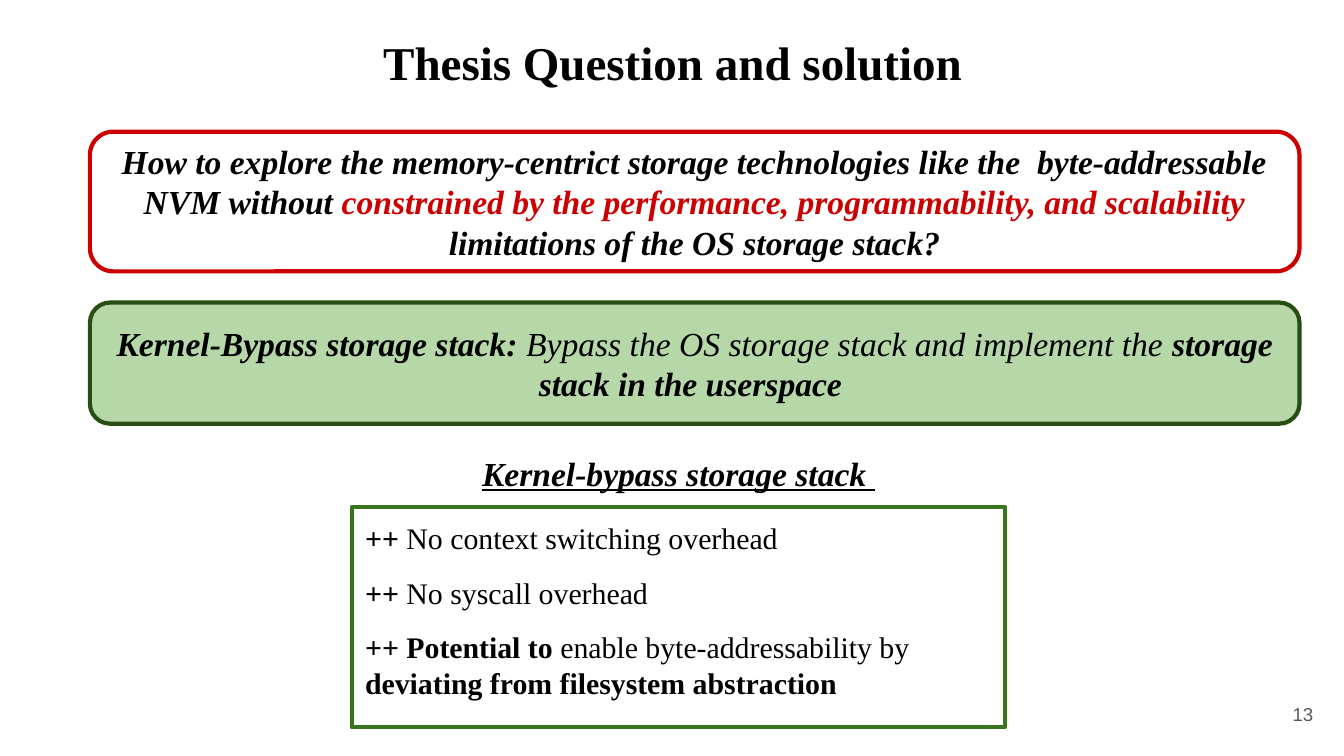
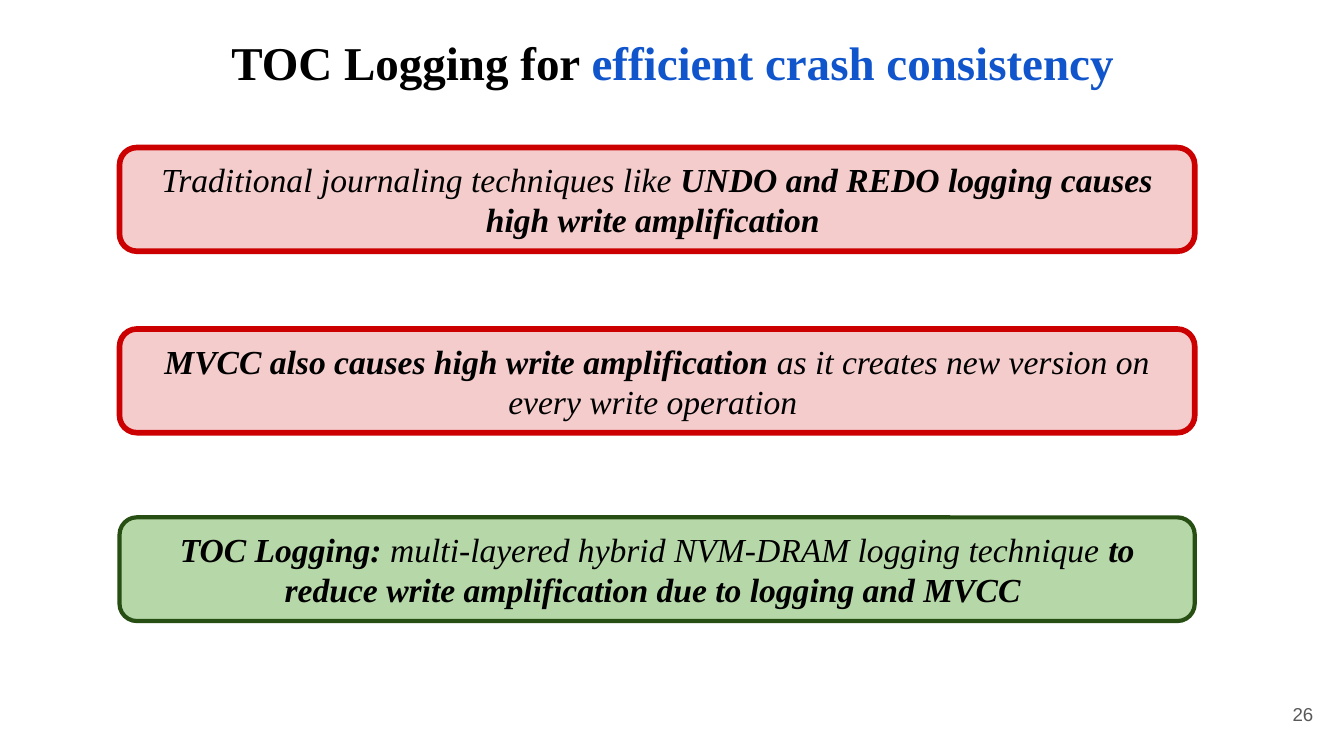
"""Build two thesis slides: the research question, and the logging design."""
from dataclasses import dataclass
from typing import Optional

import pptx
import pptx.dml.color
import pptx.enum.shapes
import pptx.enum.text
import pptx.oxml.ns
import pptx.presentation
import pptx.shapes.base
import pptx.slide
import pptx.util

Cm = pptx.util.Cm
Pt = pptx.util.Pt
Align = pptx.enum.text.PP_ALIGN
Anchor = pptx.enum.text.MSO_ANCHOR
Preset = pptx.enum.shapes.MSO_SHAPE

COLOURS = {
    "white": "FFFFFF",
    "black": "000000",
    "grey": "595959",
    "red": "CC0000",
    "pink": "F4CCCC",
    "dark green": "274E13",
    "green": "38761D",
    "light green": "B6D7A8",
    "blue": "1155CC",
}
SERIF = "Times New Roman"
TITLE_FONT = {"name": SERIF, "size": Pt(25.2), "bold": True}
NUMBER_FONT = {"name": "Arial", "size": Pt(10)}
BANNER_FONT = {"name": SERIF, "size": Pt(18), "italic": True}
HEADING_FONT = {**BANNER_FONT, "bold": True, "underline": True}
LIST_FONT = {"name": SERIF, "size": Pt(16)}
FRAME = {
    "margin_left": Cm(0.25),
    "margin_top": Cm(0.25),
    "margin_right": Cm(0.25),
    "margin_bottom": Cm(0.25),
    "word_wrap": True,
    "auto_size": pptx.enum.text.MSO_AUTO_SIZE.NONE,
}


@dataclass(frozen=True)
class Span:
    """A stretch of text in one style."""

    text: str
    bold: bool = False
    colour: str = "black"


@dataclass(frozen=True)
class Area:
    """A place on the page, in centimetres."""

    left: float
    top: float
    width: float
    height: float

    def lengths(self) -> tuple:
        """Return the four lengths as the library wants them."""
        return Cm(self.left), Cm(self.top), Cm(self.width), Cm(self.height)


@dataclass(frozen=True)
class Look:
    """The outline and fill of a box."""

    line: str
    weight: float = 2.25
    fill: Optional[str] = None


@dataclass(frozen=True)
class Banner:
    """A rounded box holding one statement."""

    area: Area
    look: Look
    spans: list[Span]


TITLE_AREA = Area(0.76, 0.38, 24.13, 1.6)
NUMBER_AREA = Area(23.55, 12.95, 1.52, 1.09)
QUESTION = Look("red")
PROBLEM = Look("red", 3, "pink")
SOLUTION = Look("dark green", 2.25, "light green")

QUESTION_BANNERS = [
    Banner(Area(1.7, 2.49, 22.86, 2.64), QUESTION, [
        Span("How to explore the memory-centrict storage technologies like the  "
             "byte-addressable NVM without ", True),
        Span("constrained by the performance, programmability, and scalability ", True, "red"),
        Span("limitations of the OS storage stack?", True),
    ]),
    Banner(Area(1.7, 5.72, 22.86, 2.29), SOLUTION, [
        Span("Kernel-Bypass storage stack:", True),
        Span(" Bypass the OS storage stack and implement the "),
        Span("storage stack in the userspace ", True),
    ]),
]
BENEFITS = [
    [Span("++", True), Span(" No context switching overhead")],
    [Span("++", True), Span(" No syscall overhead")],
    [
        Span("++ Potential to ", True),
        Span("enable byte-addressability by "),
        Span("deviating from filesystem abstraction", True),
    ],
]
LOGGING_BANNERS = [
    Banner(Area(2.26, 2.79, 20.32, 1.96), PROBLEM, [
        Span("Traditional journaling techniques like "),
        Span("UNDO and REDO logging causes high write amplification ", True),
    ]),
    Banner(Area(2.26, 6.22, 20.32, 1.96), PROBLEM, [
        Span("MVCC also causes high write amplification", True),
        Span(" as it creates new version on every write operation "),
    ]),
    Banner(Area(2.26, 9.78, 20.32, 1.96), SOLUTION, [
        Span("TOC Logging:", True),
        Span(" multi-layered hybrid NVM-DRAM logging technique "),
        Span("to reduce write amplification due to logging and MVCC ", True),
    ]),
]


def apply(target: object, values: dict) -> None:
    """Set each named attribute on the target."""
    for name, value in values.items():
        setattr(target, name, value)


def rgb(colour: str) -> pptx.dml.color.RGBColor:
    """Look a colour up by name."""
    return pptx.dml.color.RGBColor.from_string(COLOURS[colour])


def place(box: pptx.shapes.base.BaseShape, area: Area) -> None:
    """Move a placeholder to an area."""
    apply(box, dict(zip(("left", "top", "width", "height"), area.lengths())))


def paint(box: pptx.shapes.base.BaseShape, look: Look) -> None:
    """Give a box its outline and fill."""
    box.line.color.rgb = rgb(look.line)
    box.line.width = Pt(look.weight)
    if look.fill:
        box.fill.solid()
        box.fill.fore_color.rgb = rgb(look.fill)
    else:
        box.fill.background()


def write(
    box: pptx.shapes.base.BaseShape,
    lines: list[list[Span]],
    font: dict,
    align: Align = Align.CENTER,
    anchor: Anchor = Anchor.TOP,
    gap: float = 0,
) -> None:
    """Fill a box with paragraphs of styled spans."""
    frame = box.text_frame
    apply(frame, {**FRAME, "vertical_anchor": anchor})
    for index, spans in enumerate(lines):
        para = frame.add_paragraph() if index else frame.paragraphs[0]
        apply(para, {"alignment": align, "space_before": Pt(gap if index else 0)})
        for span in spans:
            run = para.add_run()
            run.text = span.text
            apply(run.font, {"bold": span.bold, **font})
            run.font.color.rgb = rgb(span.colour)


def remove_bullets(box: pptx.shapes.base.BaseShape) -> None:
    """Take the inherited bullets and indents off a list."""
    for para in box.text_frame.paragraphs:
        properties = para._p.get_or_add_pPr()
        properties.set("marL", "0")
        properties.set("indent", "0")
        properties.append(properties.makeelement(pptx.oxml.ns.qn("a:buNone"), {}))


def add_page(
    deck: pptx.presentation.Presentation,
    layout: int,
    title: list[Span],
    number: str,
    banners: list[Banner],
) -> pptx.slide.Slide:
    """Add a page with its title, number and banners."""
    page = deck.slides.add_slide(deck.slide_layouts[layout])
    place(page.shapes.title, TITLE_AREA)
    write(page.shapes.title, [title], TITLE_FONT)
    number_box = page.shapes.add_textbox(*NUMBER_AREA.lengths())
    write(number_box, [[Span(number, colour="grey")]], NUMBER_FONT, Align.RIGHT, Anchor.MIDDLE)
    for banner in banners:
        box = page.shapes.add_shape(Preset.ROUNDED_RECTANGLE, *banner.area.lengths())
        box.shadow.inherit = False
        paint(box, banner.look)
        write(box, [banner.spans], BANNER_FONT, anchor=Anchor.MIDDLE)
    return page


def add_benefits(page: pptx.slide.Slide) -> None:
    """Add the heading and the framed list of benefits."""
    heading = page.shapes.add_textbox(*Area(4.42, 8.31, 16.81, 1.27).lengths())
    write(heading, [[Span("Kernel-bypass storage stack ")]], HEADING_FONT)
    benefits = page.placeholders[1]
    place(benefits, Area(6.65, 9.58, 12.34, 4.17))
    paint(benefits, Look("green"))
    write(benefits, BENEFITS, LIST_FONT, Align.LEFT, gap=10)
    remove_bullets(benefits)


def main() -> None:
    """Build and save the deck."""
    deck = pptx.Presentation()
    apply(deck, {"slide_width": Cm(25.4), "slide_height": Cm(14.29)})
    background = deck.slide_master.background.fill
    background.solid()
    background.fore_color.rgb = rgb("white")
    question = [Span("Thesis Question and solution ")]
    add_benefits(add_page(deck, 1, question, "13", QUESTION_BANNERS))
    logging = [Span("TOC Logging for "), Span("efficient crash consistency ", colour="blue")]
    add_page(deck, 5, logging, "26", LOGGING_BANNERS)
    deck.save("out.pptx")


if __name__ == "__main__":
    main()
